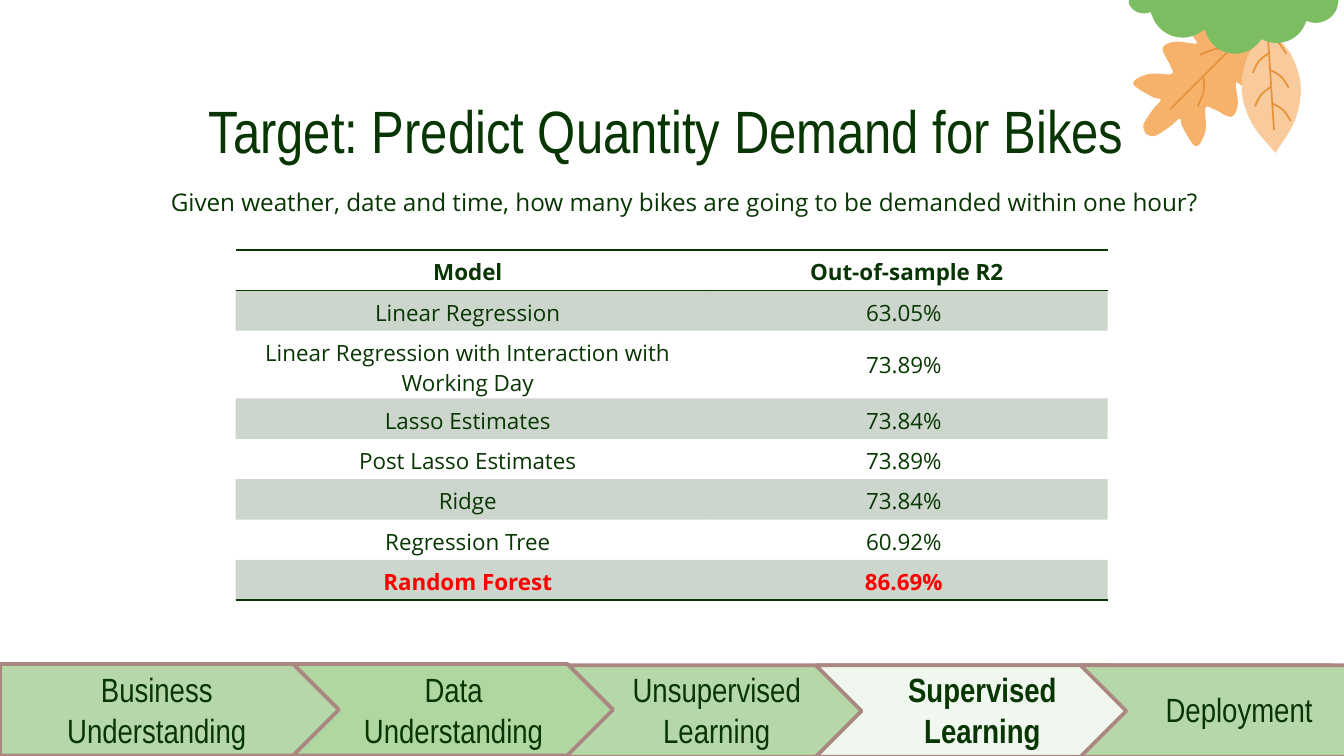
from dataclasses import dataclass
from math import cos, radians, sin, sqrt

from lxml.etree import SubElement
from pptx import Presentation
from pptx.dml.color import RGBColor as Rgb
from pptx.enum.shapes import MSO_SHAPE as Shape
from pptx.enum.text import MSO_ANCHOR as Anchor, PP_ALIGN as Align
from pptx.oxml.ns import qn
from pptx.util import Pt


@dataclass(frozen=True)
class Theme:
    dark: str = "083603"
    alert: str = "FF0000"
    step: str = "B6D7A8"
    step_alternate: str = "B1D7A0"
    step_active: str = "F0F7EE"
    step_line: str = "AA8881"
    oak: str = "F6B26B"
    beech: str = "F9CB9C"
    vein: str = "E69138"
    tree: str = "7DBD61"
    heading: str = "Arial Narrow"
    body: str = "Open Sans"
    title_size: float = 32
    subtitle_size: float = 13
    table_size: float = 12
    step_size: float = 18


theme = Theme()

# Content
TITLE = "Target: Predict Quantity Demand for Bikes"
SUBTITLE = ("Given weather, date and time, how many bikes are going to be "
            "demanded within one hour?")
ROWS = [
    ("Model", "Out-of-sample R2"),
    ("Linear Regression", "63.05%"),
    ("Linear Regression with Interaction with Working Day", "73.89%"),
    ("Lasso Estimates", "73.84%"),
    ("Post Lasso Estimates", "73.89%"),
    ("Ridge", "73.84%"),
    ("Regression Tree", "60.92%"),
    ("Random Forest", "86.69%"),
]
TALL_ROW, BEST_ROW = 2, len(ROWS) - 1
# Steps: lines, label centre, preset, left, top, width, fill.
# The long bar lies behind the arrows and shows as the third step.
STEPS = [
    (("Unsupervised", "Learning"), 384, Shape.ROUNDED_RECTANGLE, 0, 356.4, 720, theme.step),
    (("Business", "Understanding"), 84, Shape.PENTAGON, 0, 355.7, 192.2, theme.step),
    (("Data", "Understanding"), 243, Shape.CHEVRON, 157, 355.7, 171.4, theme.step_alternate),
    (("Supervised", "Learning"), 526.3, Shape.CHEVRON, 437, 356.4, 180.7, theme.step_active),
    (("Deployment",), 663.8, Shape.CHEVRON, 578.9, 356.4, 169.9, theme.step),
]
# Leaves in hundredths of an inch: base, angle of the midrib in degrees, half
# outline as (distance along the midrib, distance out from it), midrib length,
# then start, spacing, number, length and first side of the alternate side veins
LEAVES = [
    dict(color=theme.oak, base=(933, 19), angle=135,
         half=[(0, 0), (6, 6), (14, 18), (25, 39), (34, 41), (38, 25), (40, 21),
               (50, 33), (60, 36), (65, 23), (69, 18), (81, 30), (94, 33),
               (91, 16), (88, 10), (97, 9), (110, 6), (114, 0)],
         midrib=88, start=25, spacing=28, count=2, run=19, side=1),
    dict(color=theme.beech, base=(943, 21), angle=86.3,
         half=[(0, 0), (20, 16), (45, 22), (70, 16), (93, 0)],
         midrib=76, start=6, spacing=12.5, count=5, run=14, side=-1),
]
VEIN_REACH = 13
# Scallops of the tree: centre x, centre y and radius of each circle
SCALLOPS = [(851, -2, 12), (880, 4, 24), (919, 17, 23), (950, 9, 23), (979, 0, 17)]
TREE_LEFT, TREE_RIGHT = 840, 996
# Geometry in points
STEP_HEIGHT, LABEL_WIDTH, LABEL_MIDDLE = 49, 145.4, 380.1
TABLE_LEFT, TABLE_TOP, COLUMN_WIDTHS = 126.2, 133.9, (252, 215.2)
ROW_HEIGHT, TALL_HEIGHT = 21.63, 36.2

presentation = Presentation()
presentation.slide_width, presentation.slide_height = Pt(720), Pt(405)
slide = presentation.slides.add_slide(presentation.slide_layouts[6])


def smooth(points, samples=8):
    """Run a Catmull-Rom curve through the points."""
    padded = [points[0], *points, points[-1]]
    curve = [points[0]]
    for a, b, c, d in zip(padded, padded[1:], padded[2:], padded[3:]):
        for t in (i / samples for i in range(1, samples + 1)):
            curve.append(tuple(
                b[k] + t / 2 * (c[k] - a[k]
                                + t * (2 * a[k] - 5 * b[k] + 4 * c[k] - d[k]
                                       + t * (3 * (b[k] - c[k]) + d[k] - a[k])))
                for k in (0, 1)))
    return curve


def paint(shape, color):
    shape.shadow.inherit = False
    shape.fill.solid()
    shape.fill.fore_color.rgb = Rgb.from_string(color)


def stroke(shape, color, width):
    shape.line.color.rgb = Rgb.from_string(color)
    shape.line.width = Pt(width)


def draw_path(points, color, closed=True):
    """Draw a filled outline, or an open vein, from hundredths of an inch."""
    start, *rest = [(Pt(x * 0.72), Pt(y * 0.72)) for x, y in points]
    builder = slide.shapes.build_freeform(*start)
    builder.add_line_segments(rest, close=closed)
    shape = builder.convert_to_shape()
    paint(shape, color)
    if closed:
        shape.line.fill.background()
    else:
        shape.fill.background()
        stroke(shape, color, 0.9)


def draw_leaf(color, base, angle, half, midrib, start, spacing, count, run, side):
    along_x, along_y = cos(radians(angle)), sin(radians(angle))

    def place(points):
        return [(base[0] + along * along_x - out * along_y,
                 base[1] + along * along_y + out * along_x) for along, out in points]

    edge = smooth(half)
    mirrored = [(along, -out) for along, out in reversed(edge)]
    draw_path(place(edge + mirrored[1:-1]), color)
    draw_path(place([(0, 0), (midrib, 0)]), theme.vein, closed=False)
    for i in range(count):
        root, reach = start + i * spacing, side * (-1) ** i * VEIN_REACH
        vein = [(root, 0), (root + run * 0.4, reach * 0.6), (root + run, reach)]
        draw_path(place(smooth(vein)), theme.vein, closed=False)


def draw_tree():
    """Draw the lower edge of the overlapping circles, closed along the top."""
    edge = [(x, max(y + sqrt(max(radius ** 2 - (x - center) ** 2, 0))
                    for center, y, radius in SCALLOPS
                    if abs(x - center) <= radius))
            for x in range(TREE_LEFT, TREE_RIGHT + 1)]
    draw_path([(TREE_LEFT, 0), *edge, (TREE_RIGHT, 0)], theme.tree)


def style(paragraph, font, size, color=theme.dark, bold=False):
    paragraph.alignment = Align.CENTER
    paragraph.font.name, paragraph.font.size = font, Pt(size)
    paragraph.font.bold = bold
    paragraph.font.color.rgb = Rgb.from_string(color)


def add_text(lines, box, font, size, bold=False, inset=7.2, anchor=Anchor.TOP):
    frame = slide.shapes.add_textbox(*map(Pt, box)).text_frame
    frame.word_wrap = True
    frame.vertical_anchor = anchor
    frame.margin_top = frame.margin_bottom = Pt(inset)
    frame.text = "\n".join(lines)
    for paragraph in frame.paragraphs:
        style(paragraph, font, size, bold=bold)


def add_rule(cell, edge):
    line = SubElement(cell._tc.get_or_add_tcPr(), qn(f"a:{edge}"), w=str(Pt(1)))
    fill = SubElement(line, qn("a:solidFill"))
    SubElement(fill, qn("a:srgbClr"), val=theme.dark)


def fill_cell(cell, row, column, text):
    is_header, is_best = row == 0, row == BEST_ROW
    is_middle = row == TALL_ROW and column == 1
    cell.text = text
    style(cell.text_frame.paragraphs[0], theme.body, theme.table_size,
          theme.alert if is_best else theme.dark, is_header or is_best)
    cell.vertical_anchor = Anchor.MIDDLE if is_middle else Anchor.TOP
    cell.margin_top = Pt(0 if is_middle else 3.6)
    cell.margin_left = cell.margin_bottom = Pt(0)
    cell.margin_right = Pt(0 if is_header and column == 1 else 3.2)
    # Borders come before the fill in the cell properties
    if is_header:
        add_rule(cell, "lnT")
    if is_header or is_best:
        add_rule(cell, "lnB")
    if row % 2:
        cell.fill.solid()
        cell.fill.fore_color.rgb = Rgb.from_string(theme.dark)
        color = cell._tc.tcPr.find(qn("a:solidFill"))[0]
        SubElement(color, qn("a:alpha"), val="20000")
    else:
        cell.fill.background()


# Foliage in the corner
for leaf in LEAVES:
    draw_leaf(**leaf)
draw_tree()

# Results table, in the style without grid
table_height = TALL_HEIGHT + ROW_HEIGHT * (len(ROWS) - 1)
table = slide.shapes.add_table(len(ROWS), 2, Pt(TABLE_LEFT), Pt(TABLE_TOP),
                               Pt(sum(COLUMN_WIDTHS)), Pt(table_height)).table
table._tbl.tblPr.find(qn("a:tableStyleId")).text = "{2D5ABB26-0587-4C30-8999-92F81FD0307C}"
for column, width in zip(table.columns, COLUMN_WIDTHS):
    column.width = Pt(width)
for row, texts in enumerate(ROWS):
    table.rows[row].height = Pt(TALL_HEIGHT if row == TALL_ROW else ROW_HEIGHT)
    for column, text in enumerate(texts):
        fill_cell(table.cell(row, column), row, column, text)

# Process ribbon: all arrows first, then their labels
for _, _, preset, left, top, width, color in STEPS:
    arrow = slide.shapes.add_shape(preset, *map(Pt, (left, top, width, STEP_HEIGHT)))
    paint(arrow, color)
    stroke(arrow, theme.step_line, 2)
for lines, center, *_, color in STEPS:
    height = 7.2 + 22 * len(lines)
    box = (center - LABEL_WIDTH / 2, LABEL_MIDDLE - height / 2, LABEL_WIDTH, height)
    add_text(lines, box, theme.heading, theme.step_size,
             bold=color == theme.step_active, inset=3.6, anchor=Anchor.MIDDLE)

# Title and question
add_text([TITLE], (67, 43.2, 580.3, 45.4), theme.heading, theme.title_size)
add_text([SUBTITLE], (62.8, 92.9, 607, 21.6), theme.body, theme.subtitle_size)

presentation.save("out.pptx")
